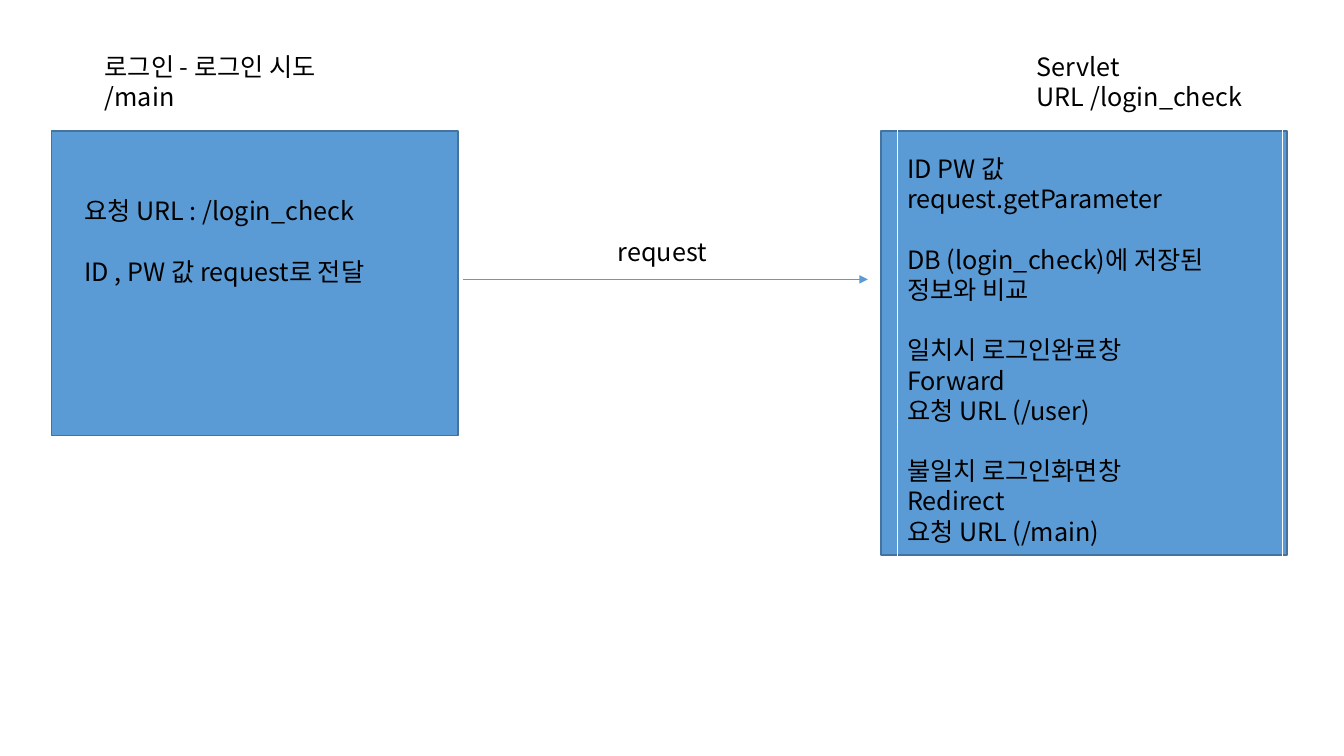
import dataclasses

import lxml.etree
import pptx
import pptx.dml.color
import pptx.enum.dml
import pptx.enum.shapes
import pptx.enum.text
import pptx.oxml.ns
import pptx.util

Cm = pptx.util.Cm
Pt = pptx.util.Pt
RECT = pptx.enum.shapes.MSO_SHAPE.RECTANGLE

COLORS = {"box": "5B9BD5", "border": "43739E", "text": "000000", "frame": "FFFFFF"}
FONT = "Noto Sans CJK KR"
LINE_PITCH = 21.6


@dataclasses.dataclass
class Box:
    """A filled box, in centimetres."""
    x: float
    y: float
    w: float
    h: float


@dataclasses.dataclass
class Label:
    """Groups of text lines, with a one-line gap between groups."""
    x: float
    y: float
    w: float
    h: float
    groups: list[list[str]]
    top: float = 0.13
    framed: bool = False


def rgb(name: str) -> pptx.dml.color.RGBColor:
    """Return a palette colour."""
    return pptx.dml.color.RGBColor.from_string(COLORS[name])


def write(p, text: str, *, size: float = 18, color: str = "text",
          font: str = FONT, before: float = 0) -> None:
    """Write one formatted run into a paragraph."""
    p.alignment = pptx.enum.text.PP_ALIGN.LEFT
    p.line_spacing = Pt(LINE_PITCH)
    p.space_before = Pt(before)
    r = p.add_run()
    r.text = text
    r.font.size = Pt(size)
    r.font.name = font
    r.font.color.rgb = rgb(color)
    ea = lxml.etree.SubElement(r.font._element, pptx.oxml.ns.qn("a:ea"))
    ea.set("typeface", font)


def add_box(s, box: Box) -> None:
    """Draw a filled box with a dark border."""
    sp = s.shapes.add_shape(RECT, Cm(box.x), Cm(box.y), Cm(box.w), Cm(box.h))
    sp.shadow.inherit = False
    sp.fill.solid()
    sp.fill.fore_color.rgb = rgb("box")
    sp.line.color.rgb = rgb("border")
    sp.line.width = Pt(1)


def add_label(s, label: Label) -> None:
    """Draw a text block, with a hairline frame if asked for."""
    area = Cm(label.x), Cm(label.y), Cm(label.w), Cm(label.h)
    if label.framed:
        sp = s.shapes.add_shape(RECT, *area)
        sp.shadow.inherit = False
        sp.fill.background()
        sp.line.color.rgb = rgb("frame")
        sp.line.width = Pt(0)
    else:
        sp = s.shapes.add_textbox(*area)
    tf = sp.text_frame
    tf.word_wrap = True
    tf.vertical_anchor = pptx.enum.text.MSO_ANCHOR.TOP
    tf.margin_left = tf.margin_right = Cm(0.25)
    tf.margin_top, tf.margin_bottom = Cm(label.top), Cm(0.13)
    for g, lines in enumerate(label.groups):
        for i, text in enumerate(lines):
            first = g == 0 and i == 0
            p = tf.paragraphs[0] if first else tf.add_paragraph()
            write(p, text, before=LINE_PITCH if g and i == 0 else 0)


def add_arrow(s, x1: float, x2: float, y: float) -> None:
    """Draw a thin horizontal arrow from x1 to x2."""
    cx = s.shapes.add_connector(pptx.enum.shapes.MSO_CONNECTOR.STRAIGHT,
                                Cm(x1), Cm(y), Cm(x2), Cm(y))
    cx.line.color.rgb = rgb("box")
    cx.line.width = Pt(0.5)
    qn = pptx.oxml.ns.qn
    lxml.etree.SubElement(cx.line._get_or_add_ln(), qn("a:tailEnd")).set("type", "triangle")
    lxml.etree.SubElement(cx._element.spPr, qn("a:effectLst"))


LOGIN_BOX = Box(1.3, 3.3, 10.24, 7.67)
SERVLET_BOX = Box(22.2, 3.3, 10.24, 10.69)

LOGIN_TITLE = Label(2.39, 1.17, 6.53, 1.8, [["로그인 - 로그인 시도", "/main"]])
LOGIN_STEPS = Label(1.88, 4.04, 9.65, 4.11, [
    ["요청 URL : /login_check"],
    ["ID , PW 값 request로 전달"],
], top=0.89)
SERVLET_TITLE = Label(25.88, 1.17, 6.81, 1.8, [["Servlet", "URL /login_check"]])
REQUEST = Label(15.32, 5.82, 4.22, 1.02, [["request"]])
SERVLET_STEPS = Label(22.61, 2.97, 9.7, 11.79, [
    ["ID PW 값", "request.getParameter"],
    ["DB (login_check)에 저장된 정보와 비교"],
    ["일치시 로그인완료창", "Forward", "요청 URL (/user)"],
    ["불일치 로그인화면창", "Redirect", "요청 URL (/main)"],
], top=0.89, framed=True)


def main() -> None:
    """Build the login flow slide."""
    prs = pptx.Presentation()
    prs.slide_width, prs.slide_height = Cm(33.87), Cm(19.05)
    s = prs.slides.add_slide(prs.slide_layouts[6])
    for box in (LOGIN_BOX, SERVLET_BOX):
        add_box(s, box)
    add_arrow(s, 11.68, 21.87, 7.04)
    for label in (LOGIN_TITLE, LOGIN_STEPS, SERVLET_TITLE, REQUEST, SERVLET_STEPS):
        add_label(s, label)
    prs.save("out.pptx")


main()
